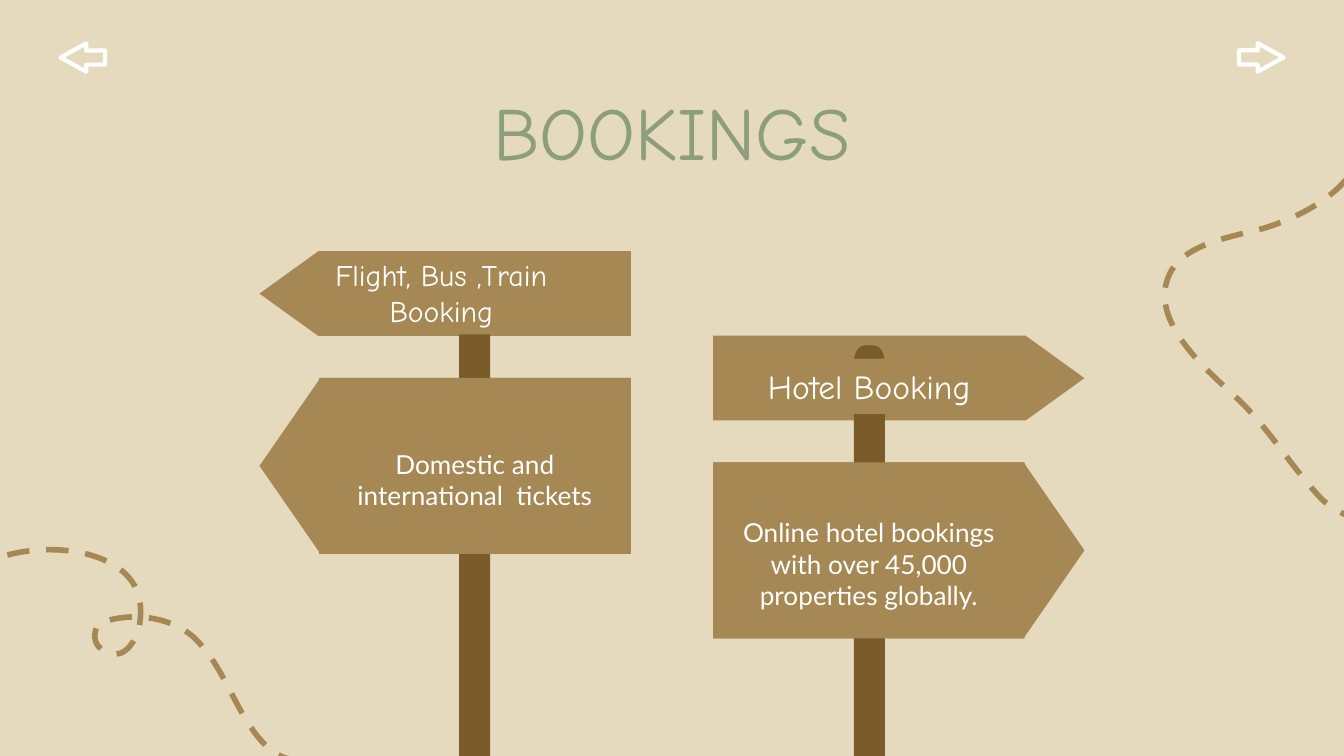
from typing import NamedTuple

from lxml import etree
from pptx import Presentation
from pptx.dml.color import RGBColor
from pptx.enum.dml import MSO_LINE
from pptx.enum.shapes import MSO_SHAPE
from pptx.enum.text import MSO_ANCHOR, PP_ALIGN
from pptx.oxml.ns import qn
from pptx.util import Pt

ARROW = MSO_SHAPE.RIGHT_ARROW
PLATE = MSO_SHAPE.PENTAGON
DASH = MSO_LINE.DASH
TOP = MSO_ANCHOR.TOP
MIDDLE = MSO_ANCHOR.MIDDLE
CENTER = PP_ALIGN.CENTER

SAND = "E5DABE"
WOOD = "A58854"
BARK = "795C29"
SAGE = "8D9E7C"
WHITE = "FFFFFF"
HEAD = "Comic Neue"
BODY = "Lato"
TAGS = {1: "a:lnTo", 3: "a:cubicBezTo"}

Point = tuple[float, float]
Part = list[Point]


class Box(NamedTuple):
    left: float
    top: float
    width: float
    height: float


class Trail(NamedTuple):
    box: Box
    start: Point
    parts: list[Part]


class Label(NamedTuple):
    text: str
    box: Box
    size: float
    font: str = HEAD
    color: str = WHITE
    fill: str | None = WOOD
    anchor: MSO_ANCHOR = MIDDLE
    inset: Box = Box(7.2, 7.2, 7.2, 7.2)
    after: float = 0


class Sign(NamedTuple):
    left: float
    top: float
    turn: float
    post: Box


def tint(code: str) -> RGBColor:
    return RGBColor.from_string(code)


def place(box: Box) -> list[Pt]:
    return [Pt(side) for side in box]


def trace(shapes, box: Box, start: Point, parts: list[Part], closed: bool):
    left, top, width, height = place(box)
    pen = shapes.build_freeform(left, top)
    pen.add_line_segments([(left + width, top + height)], close=False)
    shape = pen.convert_to_shape()
    shape.shadow.inherit = False
    path = next(shape.element.iter(qn("a:path")))
    for node in list(path):
        path.remove(node)
    for tag, part in [("a:moveTo", [start])] + [(TAGS[len(p)], p) for p in parts]:
        node = etree.SubElement(path, qn(tag))
        for x, y in part:
            etree.SubElement(node, qn("a:pt"), x=str(Pt(x) - left), y=str(Pt(y) - top))
    if closed:
        etree.SubElement(path, qn("a:close"))
    return shape


def draw_trail(shapes, trail: Trail) -> None:
    line = trace(shapes, *trail, False)
    line.fill.background()
    line.line.color.rgb = tint(WOOD)
    line.line.width = Pt(3)
    line.line.dash_style = DASH


def draw_post(shapes, box: Box) -> None:
    arc = [(6, 0), (2.4, 0), (0, 4), (0, 10)]
    half = arc + [(x, box.height - y) for x, y in reversed(arc)]
    ring = half + [(box.width - x, y) for x, y in reversed(half)]
    ring = [(box.left + x, box.top + y) for x, y in ring]
    parts = []
    for i in range(0, len(ring), 4):
        parts += [[ring[i]], ring[i + 1:i + 4]]
    post = trace(shapes, box, ring[0], parts[1:], True)
    post.fill.solid()
    post.fill.fore_color.rgb = tint(BARK)
    post.line.fill.background()


def draw_plate(shapes, box: Box, point: float, turn: float) -> None:
    plate = shapes.add_shape(PLATE, *place(box))
    plate.shadow.inherit = False
    plate.adjustments[0] = point
    plate.rotation = turn
    plate.fill.solid()
    plate.fill.fore_color.rgb = tint(WOOD)
    plate.line.fill.background()


def draw_sign(shapes, sign: Sign) -> None:
    draw_plate(shapes, Box(sign.left, sign.top, 199, 45.4), 0.694, sign.turn)
    draw_plate(shapes, Box(sign.left, sign.top + 67.8, 199, 94.3), 0.346, sign.turn)
    draw_post(shapes, sign.post)


def draw_label(shapes, label: Label) -> None:
    box = shapes.add_textbox(*place(label.box))
    if label.fill:
        box.fill.solid()
        box.fill.fore_color.rgb = tint(label.fill)
    frame = box.text_frame
    frame.word_wrap = True
    frame.vertical_anchor = label.anchor
    (frame.margin_left, frame.margin_top,
     frame.margin_right, frame.margin_bottom) = place(label.inset)
    para = frame.paragraphs[0]
    para.text = label.text
    para.alignment = CENTER
    para.space_after = Pt(label.after)
    para.font.name = label.font
    para.font.size = Pt(label.size)
    para.font.color.rgb = tint(label.color)


def draw_arrow(shapes, left: float, turn: float) -> None:
    arrow = shapes.add_shape(ARROW, *place(Box(left, 23.2, 23.8, 15.2)))
    arrow.shadow.inherit = False
    arrow.adjustments[0] = 0.5
    arrow.adjustments[1] = 0.905
    arrow.rotation = turn
    arrow.fill.background()
    arrow.line.color.rgb = tint(WHITE)
    arrow.line.width = Pt(2.25)


TRAILS = [
    Trail(Box(-15.1, 294.5, 195.1, 118.8), (-15.1, 306), [
        [(9.4, 288), (66.2, 290.2), (74.2, 319)],
        [(77, 329), (74.9, 343.4), (66.2, 349.2)],
        [(61.9, 352.1), (54, 349.2), (51.8, 344.9)],
        [(49.7, 341.3), (51.1, 334.1), (54.7, 333.4)],
        [(71.3, 327.6), (92.9, 330.5), (105.1, 342.7)],
        [(121.7, 359.3), (126.7, 384.5), (143.3, 400.3)],
        [(152.6, 409.7), (168.5, 407.5), (180, 413.3)]]),
    Trail(Box(624.2, 77.8, 108.8, 206.6), (730.1, 77.8), [
        [(726.5, 100.8), (698.4, 115.9), (676.8, 122.4)],
        [(658.1, 127.4), (632.2, 131), (625.7, 149)],
        [(617, 172.1), (643.7, 195.8), (661.7, 212.4)],
        [(679.7, 229), (691.9, 250.6), (708.5, 267.8)],
        [(715.7, 274.3), (725.8, 277.2), (733, 284.4)]]),
]
SIGNS = [
    Sign(139, 134.6, 180, Box(246, 157.7, 16.6, 262.6)),
    Sign(382, 179.9, 0, Box(457.4, 185, 16.6, 251.3)),
]
PAD = Box(10.8, 14.4, 10.8, 0)
LABELS = [
    Label("Domestic and international  tickets",
          Box(170.9, 202.4, 167, 94.3), 14, BODY, inset=PAD, after=16),
    Label("Online hotel bookings with over 45,000 properties globally.",
          Box(382, 247.7, 167, 94.3), 14, BODY, inset=PAD, after=16),
    Label("BOOKINGS", Box(56, 38.9, 608, 45.4), 40,
          color=SAGE, fill=None, anchor=TOP),
    Label("Flight, Bus ,Train Booking", Box(170.9, 134.6, 131, 44.6), 16),
    Label("Hotel Booking", Box(388.6, 192.2, 154, 29.5), 18),
]


def main() -> None:
    deck = Presentation()
    deck.slide_width = Pt(720)
    deck.slide_height = Pt(405)
    slide = deck.slides.add_slide(deck.slide_layouts[6])
    slide.background.fill.solid()
    slide.background.fill.fore_color.rgb = tint(SAND)
    shapes = slide.shapes
    for trail in TRAILS:
        draw_trail(shapes, trail)
    for sign in SIGNS:
        draw_sign(shapes, sign)
    for label in LABELS:
        draw_label(shapes, label)
    draw_arrow(shapes, 32.4, 180)
    draw_arrow(shapes, 663.8, 0)
    deck.save("out.pptx")


if __name__ == "__main__":
    main()
